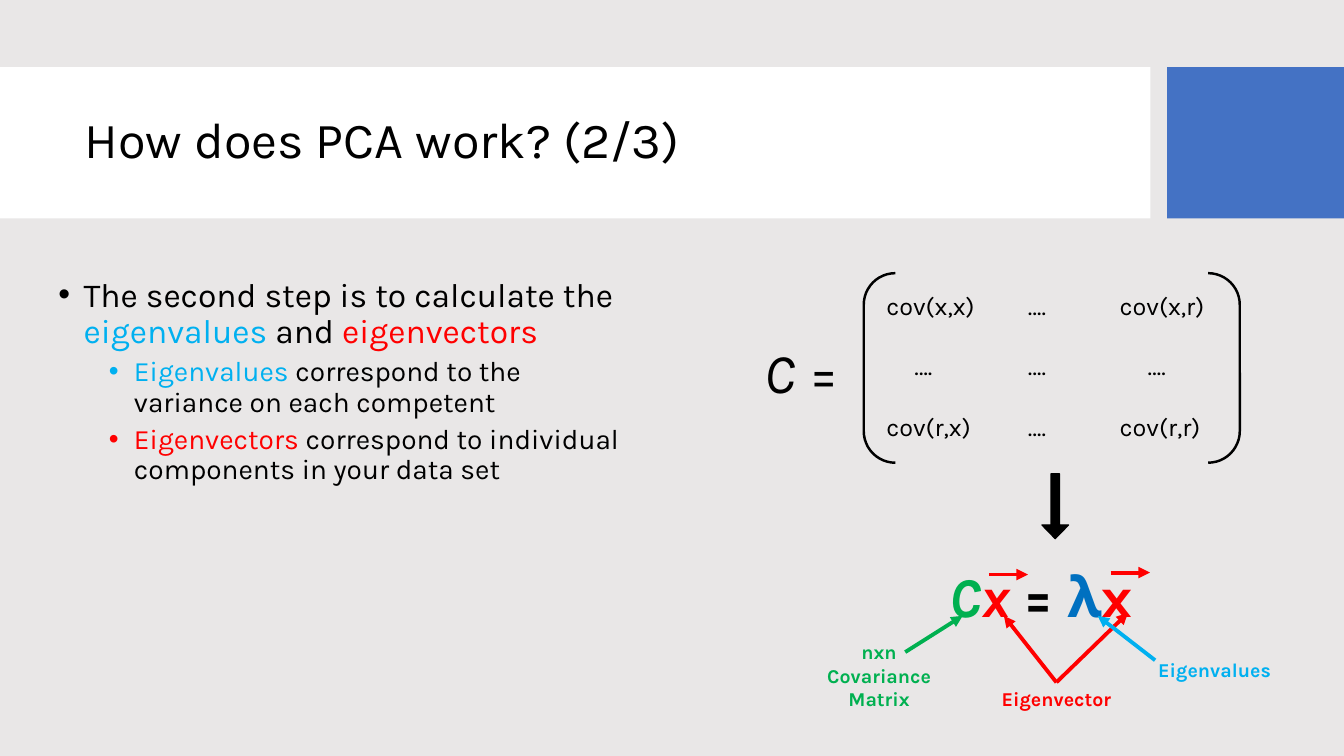
import pptx
import pptx.util
import pptx.dml.color
import pptx.enum.shapes
import pptx.enum.text
import pptx.oxml
import pptx.oxml.ns

Pt = pptx.util.Pt
Geometry = pptx.enum.shapes.MSO_SHAPE
Align = pptx.enum.text.PP_ALIGN
Anchor = pptx.enum.text.MSO_ANCHOR
AutoSize = pptx.enum.text.MSO_AUTO_SIZE

BLACK, RED, GREEN, BLUE, SKY = "000000", "FF0000", "00B050", "0070C0", "00B0F0"


def rgb(color):
    return pptx.dml.color.RGBColor.from_string(color)


def add_element(parent, tag, **attributes):
    element = pptx.oxml.parse_xml(f"<a:{tag} {pptx.oxml.ns.nsdecls('a')}/>")
    for key, value in attributes.items():
        element.set(key, str(value))
    parent.append(element)


def add_run(paragraph, text, size=18, color=BLACK, bold=False, italic=False, font="Karla"):
    run = paragraph.add_run()
    run.text = text
    run.font.name = font
    run.font.size = Pt(size)
    run.font.bold = bold
    run.font.italic = italic
    run.font.color.rgb = rgb(color)


class SlideBuilder:
    def __init__(self, slide, background):
        self.slide = slide
        self.shapes = slide.shapes
        slide.background.fill.solid()
        slide.background.fill.fore_color.rgb = rgb(background)

    def shape(self, geometry, box, fill=None, line=None, weight=1, adjustments=()):
        shape = self.shapes.add_shape(geometry, *map(Pt, box))
        shape.shadow.inherit = False
        for index, value in enumerate(adjustments):
            shape.adjustments[index] = value
        if fill:
            shape.fill.solid()
            shape.fill.fore_color.rgb = rgb(fill)
        else:
            shape.fill.background()
        if line:
            shape.line.color.rgb = rgb(line)
            shape.line.width = Pt(weight)
        else:
            shape.line.fill.background()

    def title(self, text, box, size):
        title = self.shapes.title
        title.left, title.top, title.width, title.height = map(Pt, box)
        title._element.getparent().append(title._element)
        frame = title.text_frame
        frame.auto_size = AutoSize.NONE
        frame.vertical_anchor = Anchor.MIDDLE
        paragraph = frame.paragraphs[0]
        paragraph.alignment = Align.LEFT
        paragraph.line_spacing = 0.9
        add_run(paragraph, text, size=size)

    def text(self, paragraphs, box, wrap=True, align=Align.LEFT, grow=True, **style):
        textbox = self.shapes.add_textbox(*map(Pt, box))
        frame = textbox.text_frame
        frame.word_wrap = wrap
        frame.auto_size = AutoSize.SHAPE_TO_FIT_TEXT if grow else AutoSize.NONE
        for index, runs in enumerate(paragraphs):
            paragraph = frame.add_paragraph() if index else frame.paragraphs[0]
            paragraph.alignment = align
            for text, changes in runs:
                add_run(paragraph, text, **{**style, **changes})
        return textbox

    def bullets(self, items, box):
        body = self.text([runs for _, runs in items], box, grow=False)
        for paragraph, (level, _) in zip(body.text_frame.paragraphs, items):
            paragraph.level = level
            paragraph.line_spacing = 0.9
            paragraph.space_before = Pt(5 if level else 10)
            for run in paragraph.runs:
                run.font.size = Pt(20 if level else 24)
            properties = paragraph._p.get_or_add_pPr()
            properties.set("marL", str(Pt(54 if level else 18)))
            properties.set("indent", str(Pt(-18)))
            add_element(properties, "buFont", typeface="Arial")
            add_element(properties, "buChar", char="•")

    def arrow(self, start, end, color, source=None):
        arrow = self.shapes.add_connector(
            pptx.enum.shapes.MSO_CONNECTOR.STRAIGHT, *map(Pt, start + end))
        if source is not None:
            arrow.begin_connect(source, 0)
        arrow.line.color.rgb = rgb(color)
        arrow.line.width = Pt(2.75)
        add_element(arrow.line._get_or_add_ln(), "tailEnd", type="triangle")
        add_element(arrow._element.spPr, "effectLst")


def main():
    deck = pptx.Presentation()
    deck.slide_width, deck.slide_height = Pt(960), Pt(540)
    page = SlideBuilder(deck.slides.add_slide(deck.slide_layouts[5]), "E9E7E7")

    page.shape(Geometry.RECTANGLE, (0, 48, 821.7, 108), fill="FFFFFF")
    page.shape(Geometry.RECTANGLE, (833.7, 48, 126.3, 108), fill="4472C4")
    page.title("How does PCA work? (2/3)", (53.3, 59, 756.7, 85), 36)

    sky, red, green = {"color": SKY}, {"color": RED}, {"color": GREEN}
    page.bullets([
        (0, [("The second step is to calculate the ", {}), ("eigenvalues", sky),
             (" and ", {}), ("eigenvectors", red)]),
        (1, [("Eigenvalues", sky),
             (" correspond to the variance on each competent", {})]),
        (1, [("Eigenvectors ", red),
             ("correspond to individual components in your data set", {})]),
    ], (34.6, 195.1, 426.2, 283.7))

    page.shape(Geometry.DOUBLE_BRACKET, (617, 195.1, 268.6, 135.4), line=BLACK, weight=1.75)
    dots = ("….", 34.6)
    covariance_matrix = [
        [("cov(x,x)", 80.6), dots, ("cov(x,r)", 78.5)],
        [dots, dots, dots],
        [("cov(r,x)", 75.6), dots, ("cov(r,r)", 73.4)],
    ]
    column_lefts = (626, 727.2, 792.7)
    for row, entries in enumerate(covariance_matrix):
        for column, (entry, width) in enumerate(entries):
            dots_shift = 20 if row == 1 and column != 1 else 0
            page.text([[(entry, {})]],
                      (column_lefts[column] + dots_shift, 203.5 + 43.3 * row, width, 29),
                      wrap=False)
    page.text([[("C", {"italic": True}), (" =", {})]],
              (539.3, 237.6, 84.2, 55.7), wrap=False, size=40)

    page.shape(Geometry.DOWN_ARROW, (744.3, 338.4, 18.9, 46.3), fill=BLACK, line=BLACK,
               adjustments=(0.316, 0.513))

    page.text([[("C", {"color": GREEN, "italic": True}),
                ("x", {"color": RED, "italic": True}),
                (" = ", {}), ("λ", {"color": BLUE}), ("x", red)]],
              (671, 397.4, 155.5, 55.7), wrap=False, size=40, bold=True)
    for left, top in ((706.3, 410.4), (793.4, 409)):
        page.arrow((left, top), (left + 28, top), RED)

    label = {"align": Align.CENTER, "size": 14, "bold": True}
    page.text([[("nxn", green)], [("Covariance Matrix", green)]],
              (574.6, 453.6, 106.6, 58.3), **label)
    eigenvector = page.text([[("Eigenvector", red)]], (701.3, 487.4, 106.6, 24.5), **label)
    for tip in ((717.1, 439.9), (805.7, 437.8)):
        page.arrow((754.6, 487.4), tip, RED, source=eigenvector)
    page.arrow((646.6, 465.8), (687.6, 439.9), GREEN)
    page.text([[("Eigenvalues", sky)]], (814.3, 466.6, 106.6, 24.5), **label)
    page.arrow((825.1, 471.6), (784.1, 439.9), SKY)

    deck.save("out.pptx")


if __name__ == "__main__":
    main()
